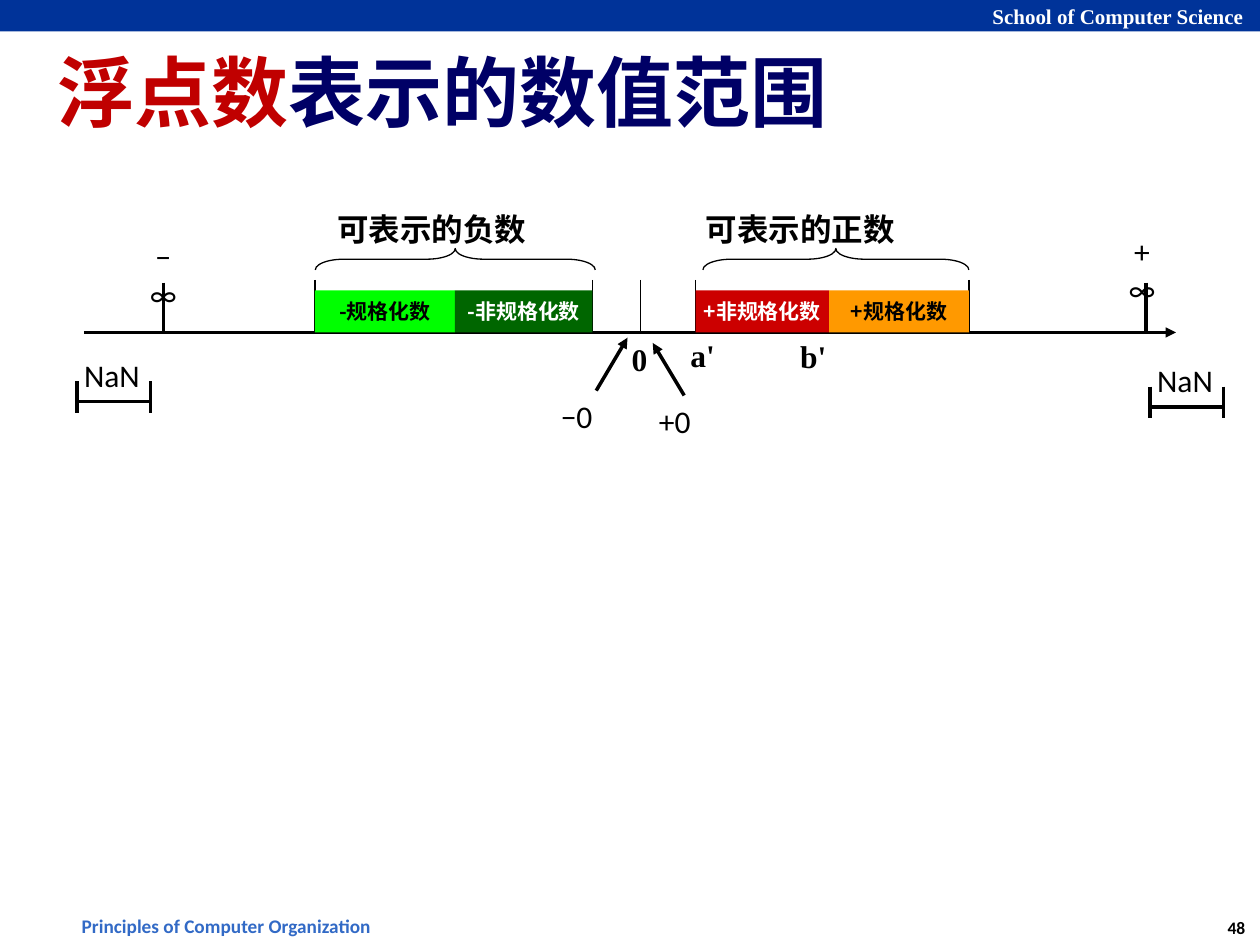
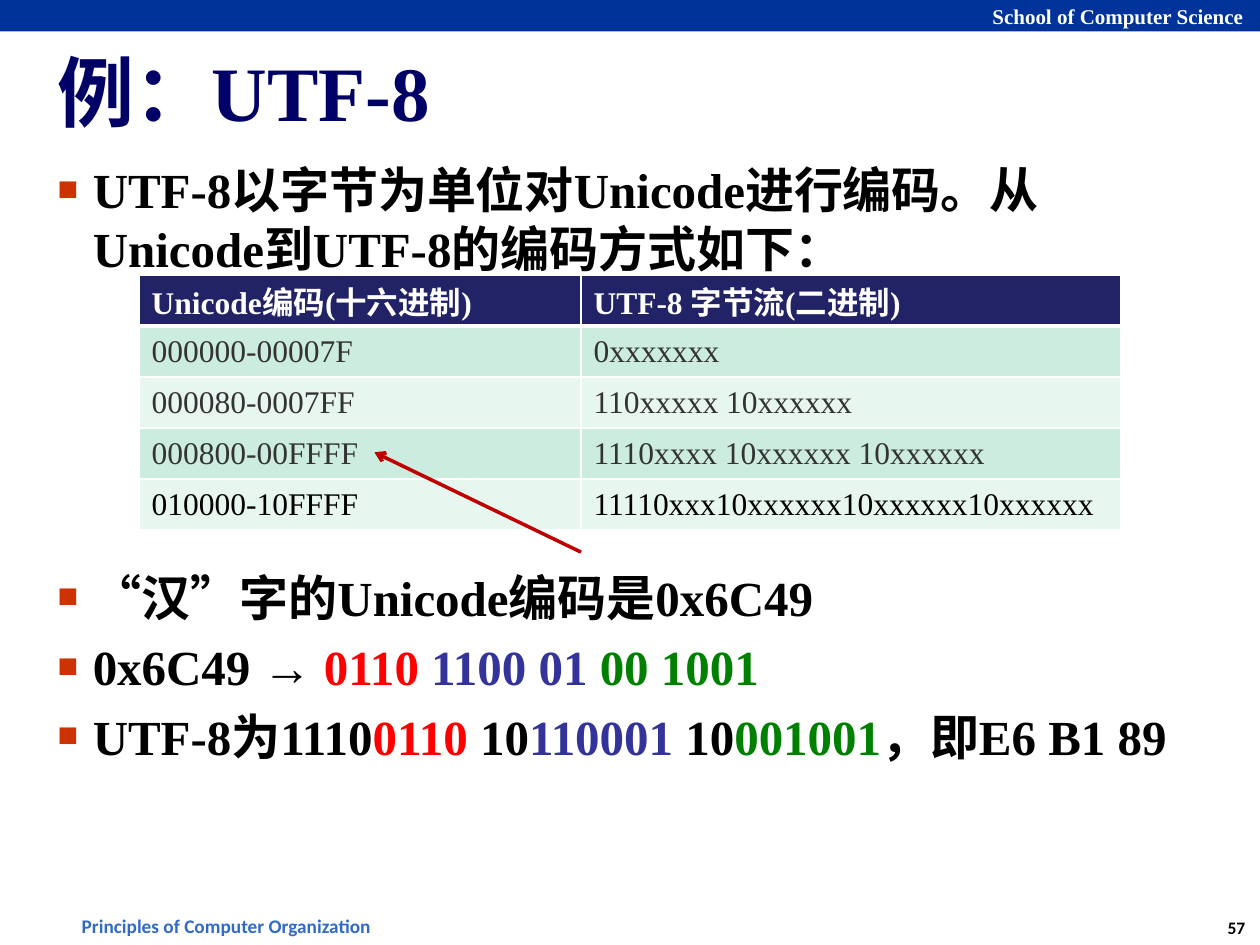
"""Builds two slides on number ranges and UTF-8 coding."""
from dataclasses import dataclass

from lxml.etree import SubElement as Sub
from pptx import Presentation
from pptx.dml.color import RGBColor as RGB
from pptx.enum.shapes import MSO_CONNECTOR as Conn, MSO_SHAPE as Kind
from pptx.enum.text import MSO_ANCHOR as Anchor, PP_ALIGN as Align
from pptx.oxml.ns import qn
from pptx.util import Pt


@dataclass(frozen=True)
class Theme:
    black: str = "000000"
    white: str = "FFFFFF"
    band: str = "003399"
    foot: str = "326AC6"
    navy: str = "000066"
    mark: str = "CC3300"
    deep: str = "C00000"
    red: str = "FF0000"
    blue: str = "333399"
    green: str = "008000"
    head: str = "222267"
    gray: str = "333333"
    bands: tuple = ("CBECDE", "E7F6EF")
    title: float = 44
    body: float = 28
    label: float = 18
    small: float = 12
    course: float = 11
    page: float = 10
    lead: float = 33.7
    serif: str = "Times New Roman"
    sans: str = "Calibri"
    han: str = "Noto Sans CJK SC"


T = Theme()


def put(item, **vals):
    for name, val in vals.items():
        setattr(item, name, val)


def paint(fill, tint):
    fill.solid()
    fill.fore_color.rgb = RGB.from_string(tint)


def add_runs(para, runs, size, face=T.serif, bold=True):
    for words, tint in runs:
        run = para.add_run()
        run.text = words
        put(run.font, name=face, size=Pt(size), bold=bold)
        run.font.color.rgb = RGB.from_string(tint)
        Sub(run.font._element, qn("a:ea"), typeface=T.han)


def set_frame(frame, pad=3, wrap=False, anchor=Anchor.MIDDLE):
    put(frame, word_wrap=wrap, vertical_anchor=anchor, margin_left=Pt(pad),
        margin_right=Pt(pad), margin_top=Pt(3), margin_bottom=Pt(3))


def write(slide, box, runs, size, face=T.serif, bold=True,
          align=Align.CENTER, **fit):
    frame = slide.shapes.add_textbox(*map(Pt, box)).text_frame
    set_frame(frame, **fit)
    para = frame.paragraphs[0]
    para.alignment = align
    add_runs(para, runs, size, face, bold)


def add_block(slide, box, tint, kind=Kind.RECTANGLE):
    block = slide.shapes.add_shape(kind, *map(Pt, box))
    block.shadow.inherit = False
    paint(block.fill, tint)
    block.line.fill.background()
    return block


def draw(slide, start, end, width, tint=T.black, tip=None):
    link = slide.shapes.add_connector(Conn.STRAIGHT, *map(Pt, start + end))
    link.line.width = Pt(width)
    paint(link.line.fill, tint)
    if tip:
        Sub(link.line._get_or_add_ln(), qn("a:tailEnd"), type=tip)
    Sub(link._element.spPr, qn("a:effectLst"))


def add_brace(slide, mid, top, span, depth=12.2):
    box = (mid - depth / 2, top + (depth - span) / 2, depth, span)
    brace = add_block(slide, box, T.white, Kind.RIGHT_BRACE)
    brace.fill.background()
    paint(brace.line.fill, T.black)
    brace.line.width = Pt(0.75)
    brace.rotation = 270
    brace.adjustments[0] = 1.333


def add_nan(slide, left, top, span=42):
    for x in (left, left + span):
        draw(slide, (x, top), (x, top + 18), 2)
    draw(slide, (left, top + 11.5), (left + span, top + 11.5), 2)
    write(slide, (left - 1, top - 18, span, 28), [("NaN", T.black)],
          T.label, T.sans, False)


def add_list(slide, top, high, items):
    frame = slide.shapes.add_textbox(Pt(30), Pt(top), Pt(660), Pt(high)).text_frame
    set_frame(frame, wrap=True, anchor=Anchor.TOP)
    for i, runs in enumerate(items):
        para = frame.add_paragraph() if i else frame.paragraphs[0]
        put(para, line_spacing=Pt(T.lead), space_before=Pt(6 if i else 0))
        props = para._p.get_or_add_pPr()
        props.set("marL", str(Pt(20)))
        props.set("indent", str(-Pt(20)))
        Sub(Sub(props, qn("a:buClr")), qn("a:srgbClr"), val=T.mark)
        Sub(props, qn("a:buSzPct"), val="70000")
        Sub(props, qn("a:buFont"), typeface=T.serif)
        Sub(props, qn("a:buChar"), char="■")
        add_runs(para, runs, T.body)


def edge(cell, sides):
    props = cell._tc.get_or_add_tcPr()
    for side, width in sides.items():
        line = Sub(props, qn("a:ln" + side), w=str(Pt(width)))
        Sub(Sub(line, qn("a:solidFill")), qn("a:srgbClr"), val=T.white)


def add_grid(slide, left, top, wide, high, rows):
    grid = slide.shapes.add_table(
        len(rows), len(wide), Pt(left), Pt(top), Pt(sum(wide)),
        Pt(high * len(rows))).table
    grid.horz_banding = False
    for col, width in zip(grid.columns, wide):
        col.width = Pt(width)
    for r, row in enumerate(rows):
        grid.rows[r].height = Pt(high)
        last = r == len(rows) - 1
        tint = T.white if r == 0 else T.black if last else T.gray
        for c, words in enumerate(row):
            cell = grid.cell(r, c)
            edge(cell, {"L": 1, "R": 1, "T": 3 if r == 1 else 1,
                        "B": 1 if r else 3})
            paint(cell.fill, T.bands[(r - 1) % 2] if r else T.head)
            put(cell, vertical_anchor=Anchor.MIDDLE, margin_left=Pt(7.2),
                margin_right=Pt(7.2), margin_top=Pt(1.4), margin_bottom=Pt(1.4))
            add_runs(cell.text_frame.paragraphs[0], [(words, tint)],
                     T.label, bold=r == 0)


def add_page(deck, number, title):
    slide = deck.slides.add_slide(deck.slide_layouts[6])
    add_block(slide, (0, 0, 720, 18), T.band)
    write(slide, (560, -2, 159, 22), [("School of Computer Science", T.white)],
          T.small, align=Align.LEFT, pad=7.2)
    write(slide, (39.6, 518.4, 184, 21),
          [("Principles of Computer Organization", T.foot)],
          T.course, T.sans, align=Align.LEFT, pad=7.2)
    write(slide, (693, 520.5, 27, 19.5), [(str(number), T.black)],
          T.page, T.sans)
    write(slide, (30, 20, 660, 64), title, T.title, align=Align.LEFT, wrap=True)
    return slide


def add_range(deck):
    slide = add_page(deck, 48, [("浮点数", T.deep), ("表示的数值范围", T.navy)])
    base = 190
    draw(slide, (48, base), (672, base), 1.75, tip="triangle")
    edges = (180, 260, 338.5, 397.5, 473.8, 553.7)
    for x in (edges[0], edges[2], 366, edges[3], edges[5]):
        draw(slide, (x, base - 30), (x, base), 0.75)
    zones = (
        (0, "-规格化数", "00FF00", T.black),
        (1, "-非规格化数", "006600", T.white),
        (3, "+非规格化数", "CC0000", T.white),
        (4, "+规格化数", "FF9900", T.black),
    )
    for i, words, tint, ink in zones:
        box = (edges[i], base - 24, edges[i + 1] - edges[i], 24)
        frame = add_block(slide, box, tint).text_frame
        set_frame(frame)
        frame.paragraphs[0].alignment = Align.CENTER
        add_runs(frame.paragraphs[0], [(words, ink)], T.small, T.han)
    for mid, span, text_mid, words in ((260.2, 160, 246.6, "可表示的负数"),
                                       (477.7, 152, 457.2, "可表示的正数")):
        add_brace(slide, mid, 142, span)
        write(slide, (text_mid - 75, 117, 150, 28), [(words, T.black)],
              T.label, T.han)
    for mid, top, words in ((365.5, 190.5, "0"), (401.5, 188.5, "a'"),
                            (464.8, 189, "b'")):
        write(slide, (mid - 15, top, 30, 29), [(words, T.black)], T.label)
    for mid, top, words in ((329.5, 223.5, "−0"), (385.5, 226.5, "+0")):
        write(slide, (mid - 13, top, 26, 28), [(words, T.black)],
              T.label, T.sans, False)
    draw(slide, (340.7, 223.2), (358.6, 193), 2, tip="triangle")
    draw(slide, (391, 226), (373, 196), 2, tip="triangle")
    for x, mid, top, words in ((93.5, 93.3, 132.5, "−∞"),
                               (655, 652.6, 129.6, "+∞")):
        draw(slide, (x, base - 28.5), (x, base), 2)
        write(slide, (mid - 12, top, 24, 50), [(words, T.black)], T.label,
              T.sans, False, wrap=True, anchor=Anchor.TOP)
    add_nan(slide, 44, 218)
    add_nan(slide, 657.2, 221)


def add_code(deck):
    slide = add_page(deck, 57, [("例：UTF-8", T.navy)])
    add_list(slide, 88, 74, [[(
        "UTF-8以字节为单位对Unicode进行编码。从Unicode到UTF-8的编码方式如下：",
        T.black)]])
    add_list(slide, 321, 160, [
        [("“汉”字的Unicode编码是0x6C49", T.black)],
        [("0x6C49 → ", T.black), ("0110 ", T.red), ("1100 01 ", T.blue),
         ("00 1001", T.green)],
        [("UTF-8为1110", T.black), ("0110", T.red), (" 10", T.black),
         ("110001", T.blue), (" 10", T.black), ("001001", T.green),
         ("，即E6 B1 89", T.black)],
    ])
    add_grid(slide, 79.5, 157, (252.5, 308.5), 29.2, (
        ("Unicode编码(十六进制)", "UTF-8 字节流(二进制)"),
        ("000000-00007F", "0xxxxxxx"),
        ("000080-0007FF", "110xxxxx 10xxxxxx"),
        ("000800-00FFFF", "1110xxxx 10xxxxxx 10xxxxxx"),
        ("010000-10FFFF", "11110xxx10xxxxxx10xxxxxx10xxxxxx"),
    ))
    draw(slide, (332, 315.5), (214, 258.5), 2, T.deep, "arrow")


def main():
    deck = Presentation()
    put(deck, slide_width=Pt(720), slide_height=Pt(540))
    add_range(deck)
    add_code(deck)
    deck.save("out.pptx")


if __name__ == "__main__":
    main()
